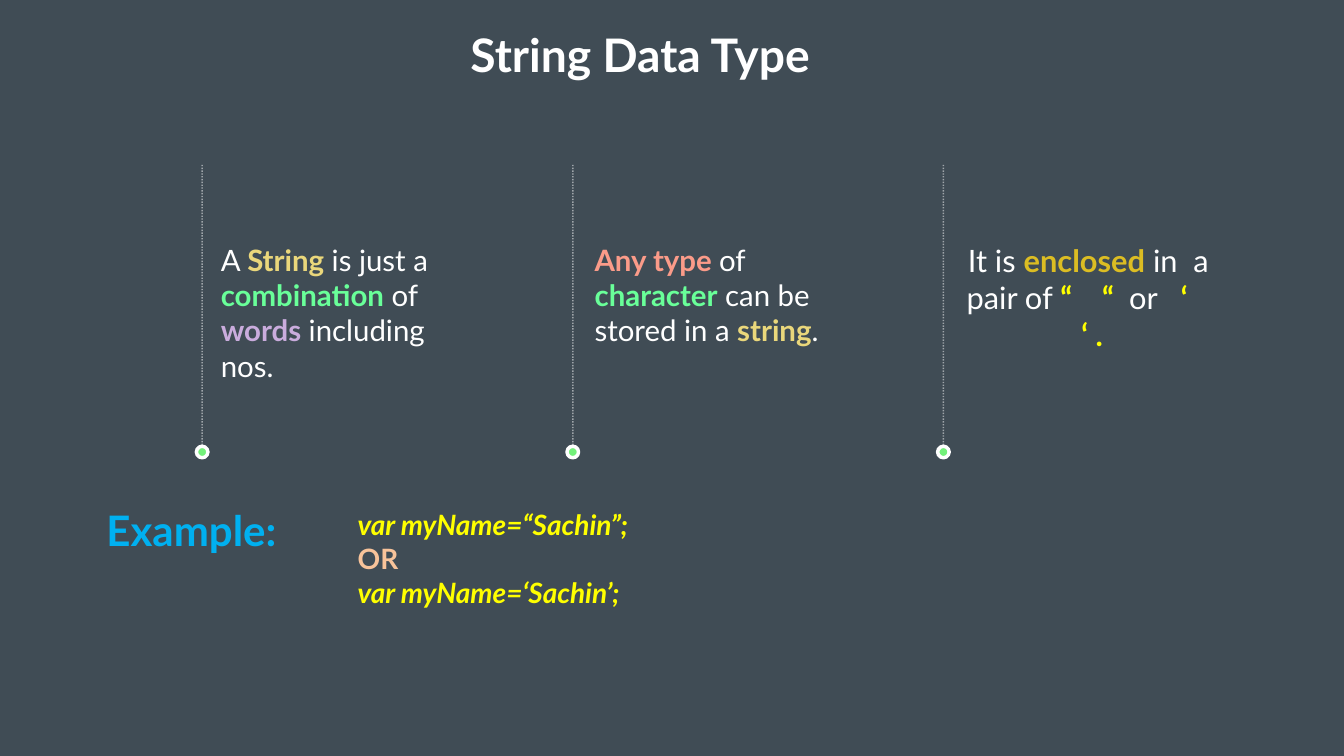
from lxml.etree import SubElement
from pptx import Presentation
from pptx.dml.color import RGBColor
from pptx.enum.dml import MSO_LINE
from pptx.enum.shapes import MSO_CONNECTOR, MSO_SHAPE
from pptx.enum.text import MSO_ANCHOR, PP_ALIGN
from pptx.oxml.ns import qn
from pptx.util import Cm, Pt

WHITE, YELLOW, GREEN, SAND = "FFFFFF", "FFFF00", "69FF99", "EAD77B"


def color(hex_code):
    return RGBColor.from_string(hex_code)


def add_text(slide, box, paragraphs, size, inset=0.0, anchor=MSO_ANCHOR.TOP, align=PP_ALIGN.LEFT):
    """Each run is (text, colour, style); the style holds b for bold and i for italic."""
    frame = slide.shapes.add_textbox(*[Cm(length) for length in box]).text_frame
    frame.word_wrap = True
    frame.vertical_anchor = anchor
    frame.margin_left = frame.margin_right = Cm(inset)
    frame.margin_top = frame.margin_bottom = Cm(inset)
    for index, runs in enumerate(paragraphs):
        paragraph = frame.add_paragraph() if index else frame.paragraphs[0]
        paragraph.alignment = align
        for text, hex_code, style in runs:
            run = paragraph.add_run()
            run.text = text
            run.font.name = "Lato"
            run.font.size = Pt(size)
            run.font.bold = "b" in style
            run.font.italic = "i" in style
            run.font.color.rgb = color(hex_code)


presentation = Presentation()
presentation.slide_width = Cm(67.74)
presentation.slide_height = Cm(38.1)
slide = presentation.slides.add_slide(presentation.slide_layouts[6])
slide.background.fill.solid()
slide.background.fill.fore_color.rgb = color("404C55")

# Three columns: dotted line, dot at its foot, text to the right
first_line, column_pitch = 10.19, 18.68
line_top, line_bottom = 8.28, 22.86
dot_size, dot_middle = 0.58, 22.78
text_top = 12.19

# Text left, width, height, size, alignment and runs
columns = [
    (11.13, 12.37, 7.19, 42, PP_ALIGN.LEFT, [
        ("A ", WHITE, ""), ("String", SAND, "b"), (" is just a ", WHITE, ""),
        ("combination", GREEN, "b"), (" of ", WHITE, ""),
        ("words", "CAACDD", "b"), (" including nos.", WHITE, "")]),
    (29.97, 12.19, 5.38, 42, PP_ALIGN.LEFT, [
        ("Any type ", "FB9B89", "b"), ("of ", WHITE, ""), ("character", GREEN, "b"),
        (" can be stored in a ", WHITE, ""), ("string", SAND, "b"), (".", WHITE, "")]),
    (48.67, 12.37, 5.64, 44, PP_ALIGN.CENTER, [
        ("It is ", WHITE, ""), ("enclosed", "DCBD23", "b"), (" in  a pair of ", WHITE, ""),
        ("“    “  ", YELLOW, "b"), ("or   ", WHITE, ""), ("‘     ‘ .", YELLOW, "b")]),
]

for index, (left, width, height, size, align, runs) in enumerate(columns):
    line_x = first_line + index * column_pitch

    # Half-transparent dotted line
    connector = slide.shapes.add_connector(
        MSO_CONNECTOR.STRAIGHT, Cm(line_x), Cm(line_bottom), Cm(line_x), Cm(line_top))
    connector.line.width = Pt(2)
    connector.line.color.rgb = color(WHITE)
    connector.line.dash_style = MSO_LINE.ROUND_DOT
    properties = connector._element.spPr
    alpha = SubElement(properties.find(".//" + qn("a:srgbClr")), qn("a:alpha"))
    alpha.set("val", "50000")
    SubElement(properties, qn("a:effectLst"))

    add_text(slide, (left, text_top, width, height), [runs], size, align=align)

    # Ringed dot
    dot = slide.shapes.add_shape(
        MSO_SHAPE.OVAL, Cm(line_x - dot_size / 2), Cm(dot_middle - dot_size / 2),
        Cm(dot_size), Cm(dot_size))
    dot.shadow.inherit = False
    dot.fill.solid()
    dot.fill.fore_color.rgb = color("73F17A")
    dot.line.color.rgb = color(WHITE)
    dot.line.width = Pt(5)

# Title
add_text(slide, (1.24, 1.12, 62.05, 3.23), [[("String Data Type", WHITE, "b")]], 66,
         inset=0.2, anchor=MSO_ANCHOR.MIDDLE, align=PP_ALIGN.CENTER)

# Example
add_text(slide, (4.65, 25.22, 62.05, 2.97), [[(" Example:", "00B0F0", "b")]], 60,
         inset=0.2, anchor=MSO_ANCHOR.MIDDLE)
add_text(slide, (17.83, 25.4, 18.47, 8.94), [
    [("var myName=“Sachin”;", YELLOW, "bi")],
    [("OR", "F8C39A", "b")],
    [("var myName=‘Sachin’;", YELLOW, "bi")]], 40, inset=0.2)

presentation.save("out.pptx")
